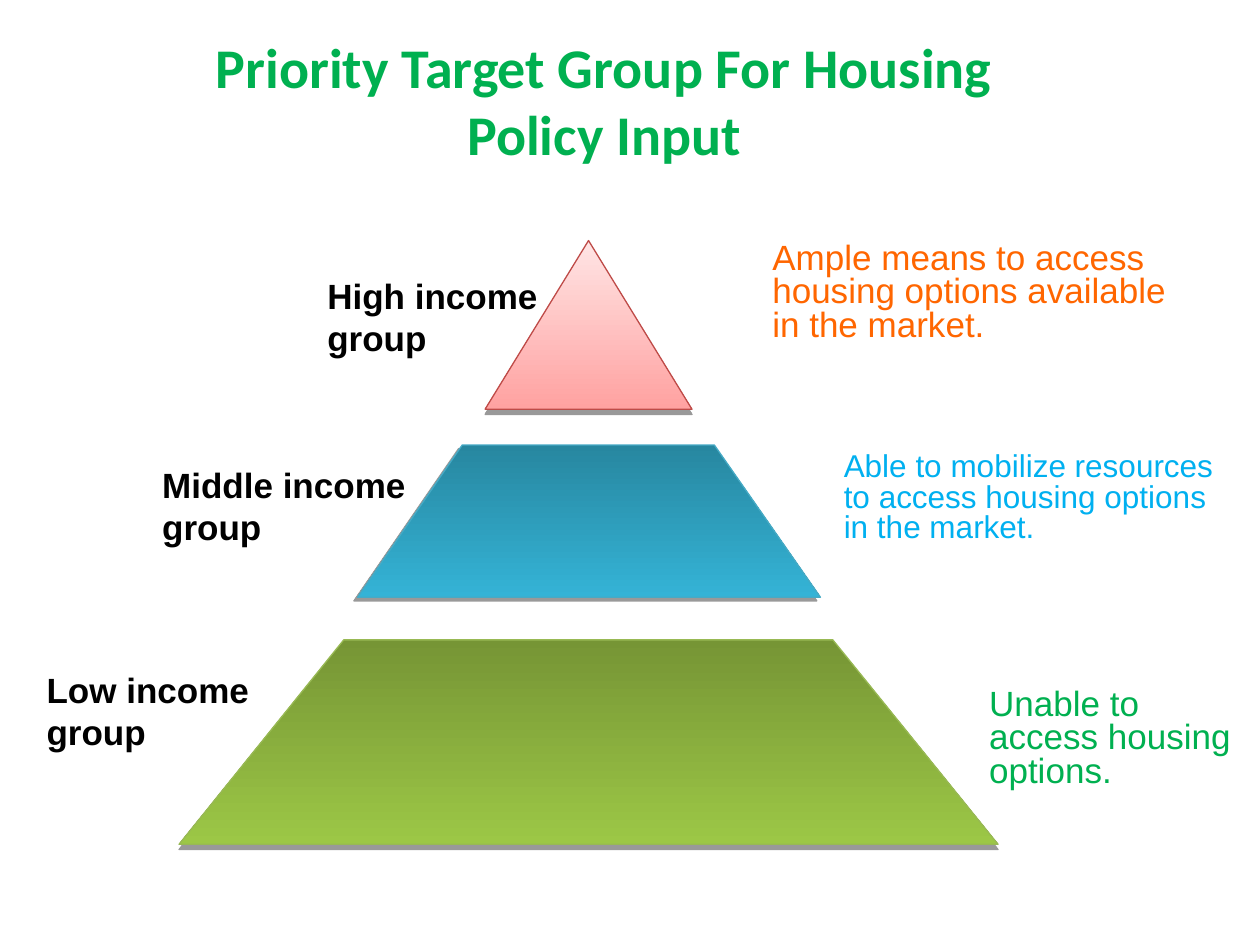
import pptx
import pptx.dml.color
import pptx.enum.shapes
import pptx.enum.text
import pptx.oxml
import pptx.oxml.ns
import pptx.util

Cm = pptx.util.Cm
Pt = pptx.util.Pt
ALIGN = pptx.enum.text.PP_ALIGN
ANCHOR = pptx.enum.text.MSO_ANCHOR
AUTO_SIZE = pptx.enum.text.MSO_AUTO_SIZE

TITLE = "Priority Target Group For Housing Policy Input"

# text, place (left, top, width, height in cm), size, colour
NOTES = [
    ("Ample means to access housing options available in the market.",
     (15.32, 4.78, 8.74, 2.51), 20, "FF6600"),
    ("Able to mobilize resources to access housing options in the market.",
     (16.76, 9.02, 8.23, 3.02), 18, "00B0F0"),
    ("Unable to access housing options.",
     (19.69, 13.77, 5.84, 1.93), 20, "00B050"),
]
LABELS = [
    ("High income group", (6.35, 5.41, 4.8, 1.96)),
    ("Middle income group", (3.02, 9.22, 5.72, 1.96)),
    ("Low income group", (0.69, 13.36, 4.67, 1.96)),
]


def colour(value):
    return pptx.dml.color.RGBColor.from_string(value)


def set_all(target, values):
    for name, value in values.items():
        setattr(target, name, value)


def add_text(page, text, place, font, frame=None, para=None):
    """Add a wrapping text box; font, frame and para hold format values."""
    box = page.shapes.add_textbox(*map(Cm, place))
    set_all(box.text_frame, {"word_wrap": True, **(frame or {})})
    first = box.text_frame.paragraphs[0]
    set_all(first, para or {})
    span = first.add_run()
    span.text = text
    span.font.color.rgb = colour(font["colour"])
    set_all(span.font, {k: v for k, v in font.items() if k != "colour"})


def add_shadow(shape, direction):
    """Cast a sharp 40 % black shadow towards direction, in degrees."""
    shape.shadow.inherit = False
    effects = shape._element.spPr.find(pptx.oxml.ns.qn("a:effectLst"))
    effects.append(pptx.oxml.parse_xml(
        f'<a:outerShdw {pptx.oxml.ns.nsdecls("a")} blurRad="0" dist="{Pt(3)}" '
        f'dir="{direction * 60000}" algn="ctr" rotWithShape="0">'
        '<a:srgbClr val="000000"><a:alpha val="40000"/></a:srgbClr>'
        '</a:outerShdw>'))


def paint_tier(shape, top, bottom, outline, direction=90):
    """Fill from the top colour down to the bottom colour."""
    shape.fill.gradient()
    shape.fill.gradient_angle = 270
    for stop, value in zip(shape.fill.gradient_stops, (top, bottom)):
        stop.color.rgb = colour(value)
    shape.line.color.rgb = colour(outline)
    shape.line.width = Pt(0.75)
    add_shadow(shape, direction)


def add_trapezoid(page, top, bottom, top_span, bottom_span):
    """Spans are (left, right) pairs of the two level edges, in cm."""
    corners = [(bottom_span[1], bottom), (top_span[1], top),
               (top_span[0], top), (bottom_span[0], bottom)]
    points = [(Cm(x), Cm(y)) for x, y in corners]
    builder = page.shapes.build_freeform(*points[0])
    builder.add_line_segments(points[1:], close=True)
    return builder.convert_to_shape()


def add_pyramid(page):
    high = page.shapes.add_shape(
        pptx.enum.shapes.MSO_SHAPE.ISOSCELES_TRIANGLE,
        Cm(9.78), Cm(4.85), Cm(4.17), Cm(3.4))
    paint_tier(high, "FFE5E5", "FFA2A1", "BE4B48")
    low = add_trapezoid(page, 12.9, 17.02, (6.93, 16.79), (3.61, 20.12))
    paint_tier(low, "769535", "9CC746", "98B954")
    middle = add_trapezoid(page, 8.97, 12.04, (9.32, 14.4), (7.21, 16.54))
    paint_tier(middle, "2787A0", "34B3D6", "46AAC5", direction=135)


def main():
    deck = pptx.Presentation()
    set_all(deck, {"slide_width": Cm(25.4), "slide_height": Cm(19.05)})
    page = deck.slides.add_slide(deck.slide_layouts[6])

    add_text(page, TITLE, (3.81, 0.64, 16.74, 2.74),
             {"name": "Calibri", "size": Pt(32), "bold": True, "colour": "00B050"},
             {"vertical_anchor": ANCHOR.MIDDLE}, {"alignment": ALIGN.CENTER})
    add_pyramid(page)
    for text, place, size, value in NOTES:
        add_text(page, text, place,
                 {"name": "Arial", "size": Pt(size), "colour": value},
                 para={"line_spacing": 0.8})
    for text, place in LABELS:
        add_text(page, text, place,
                 {"name": "Arial", "size": Pt(20), "bold": True, "colour": "000000"},
                 {"auto_size": AUTO_SIZE.SHAPE_TO_FIT_TEXT})
    deck.save("out.pptx")


if __name__ == "__main__":
    main()
